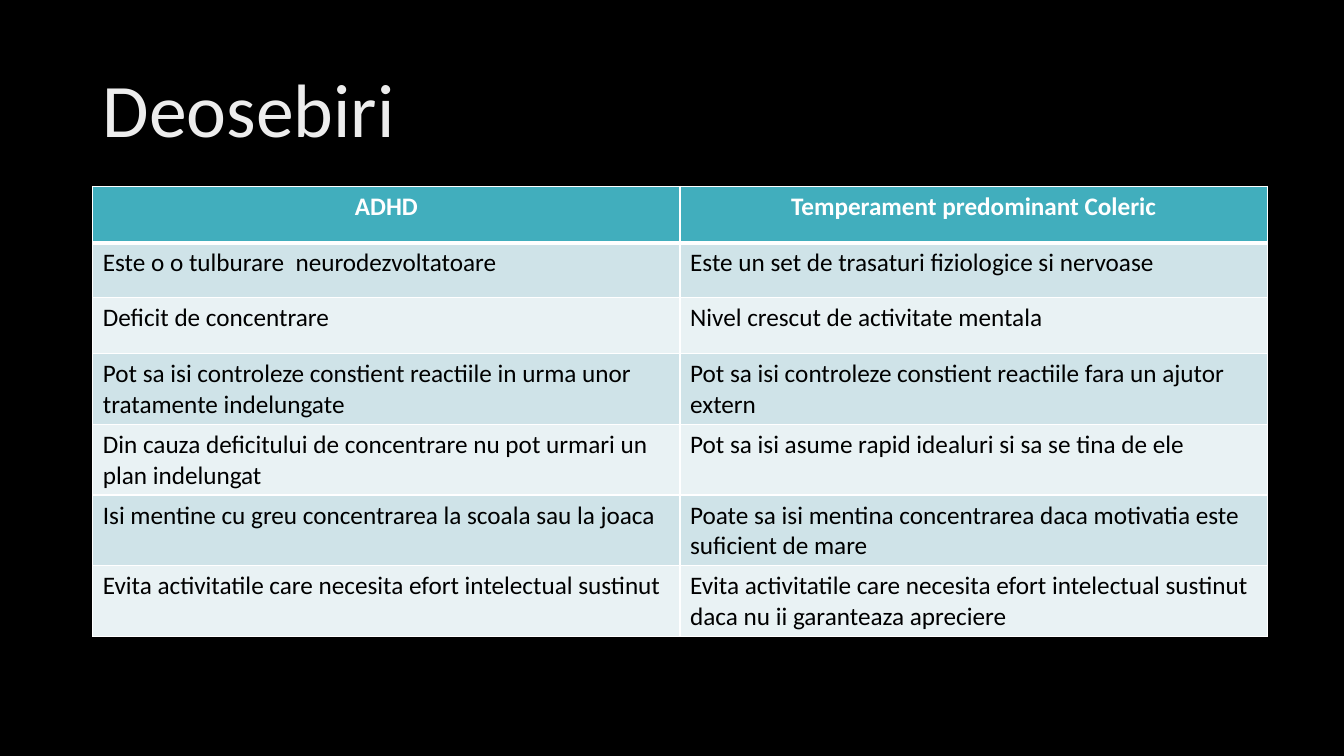
from dataclasses import dataclass

from lxml import etree
from pptx import Presentation
from pptx.dml.color import RGBColor
from pptx.enum.text import MSO_ANCHOR, PP_ALIGN
from pptx.oxml.ns import qn
from pptx.util import Inches, Pt

MIDDLE = MSO_ANCHOR.MIDDLE
LEFT, CENTER = PP_ALIGN.LEFT, PP_ALIGN.CENTER

# Content
HEADING = "Deosebiri"
COMPARISON = [
    ("ADHD", "Temperament predominant Coleric"),
    ("Este o o tulburare  neurodezvoltatoare",
     "Este un set de trasaturi fiziologice si nervoase"),
    ("Deficit de concentrare", "Nivel crescut de activitate mentala"),
    ("Pot sa isi controleze constient reactiile in urma unor tratamente indelungate",
     "Pot sa isi controleze constient reactiile fara un ajutor extern"),
    ("Din cauza deficitului de concentrare nu pot urmari un plan indelungat",
     "Pot sa isi asume rapid idealuri si sa se tina de ele"),
    ("Isi mentine cu greu concentrarea la scoala sau la joaca",
     "Poate sa isi mentina concentrarea daca motivatia este suficient de mare"),
    ("Evita activitatile care necesita efort intelectual sustinut",
     "Evita activitatile care necesita efort intelectual sustinut daca nu ii garanteaza apreciere"),
]
ROW_HEIGHTS = [0.56, 0.54] + [0.56] * 5


@dataclass(frozen=True)
class Theme:
    font: str = "Calibri"
    heading_size: int = 54
    cell_size: int = 18
    background: str = "000000"
    heading: str = "EDEDED"
    header_fill: str = "41AEBD"
    header_text: str = "FFFFFF"
    body_text: str = "000000"
    bands: tuple = ("CFE3E8", "E9F2F4")
    border: str = "FFFFFF"
    border_width: int = 1
    header_rule: int = 3


THEME = Theme()


def add_run(paragraph, text, size, color, bold=False):
    run = paragraph.add_run()
    run.text = text
    run.font.name = THEME.font
    run.font.size = Pt(size)
    run.font.bold = bold
    run.font.color.rgb = RGBColor.from_string(color)


def add_borders(cell, top_width, bottom_width):
    properties = cell._tc.get_or_add_tcPr()
    widths = {"a:lnL": THEME.border_width, "a:lnR": THEME.border_width,
              "a:lnT": top_width, "a:lnB": bottom_width}
    for side, width in widths.items():
        line = etree.SubElement(properties, qn(side), w=str(Pt(width)))
        solid = etree.SubElement(line, qn("a:solidFill"))
        etree.SubElement(solid, qn("a:srgbClr"), val=THEME.border)


prs = Presentation()
prs.slide_width, prs.slide_height = Inches(13.33), Inches(7.5)
slide = prs.slides.add_slide(prs.slide_layouts[6])
slide.background.fill.solid()
slide.background.fill.fore_color.rgb = RGBColor.from_string(THEME.background)

# Heading
heading = slide.shapes.add_textbox(
    Inches(0.92), Inches(0.4), Inches(11.5), Inches(1.45)).text_frame
heading.word_wrap = True
heading.vertical_anchor = MIDDLE
heading.paragraphs[0].line_spacing = 0.9
add_run(heading.paragraphs[0], HEADING, THEME.heading_size, THEME.heading)

# Comparison table
table = slide.shapes.add_table(
    len(COMPARISON), len(COMPARISON[0]), Inches(0.92), Inches(1.85),
    Inches(11.65), Inches(sum(ROW_HEIGHTS))).table

for row, (texts, height) in enumerate(zip(COMPARISON, ROW_HEIGHTS)):
    table.rows[row].height = Inches(height)
    is_header = row == 0
    fill = THEME.header_fill if is_header else THEME.bands[(row - 1) % 2]
    color = THEME.header_text if is_header else THEME.body_text
    top_width = THEME.header_rule if row == 1 else THEME.border_width
    bottom_width = THEME.header_rule if is_header else THEME.border_width
    for column, text in enumerate(texts):
        cell = table.cell(row, column)
        add_borders(cell, top_width, bottom_width)
        cell.fill.solid()
        cell.fill.fore_color.rgb = RGBColor.from_string(fill)
        paragraph = cell.text_frame.paragraphs[0]
        paragraph.alignment = CENTER if is_header else LEFT
        add_run(paragraph, text, THEME.cell_size, color, bold=is_header)

prs.save("out.pptx")
